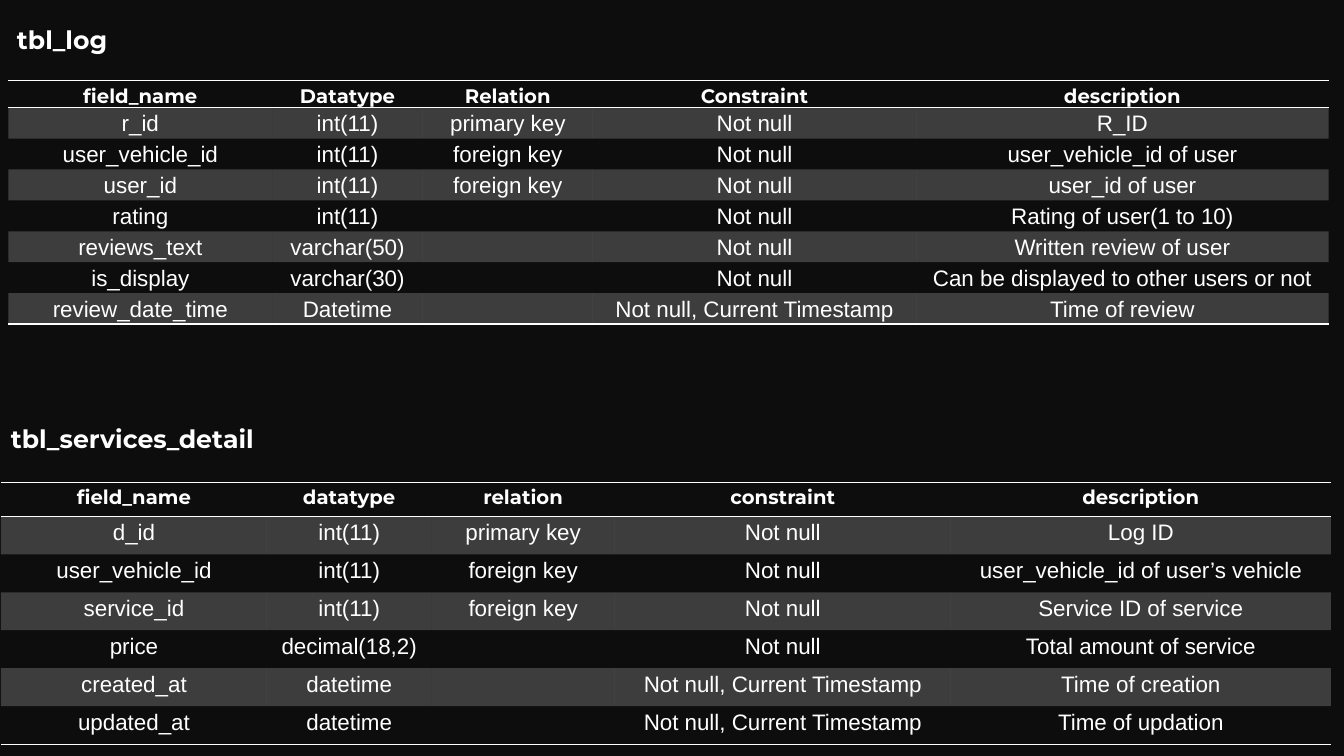
from lxml import etree
from pptx import Presentation
from pptx.dml.color import RGBColor
from pptx.enum import text as t
from pptx.oxml import ns
from pptx.util import Pt

BACKGROUND = RGBColor(0x0D, 0x0D, 0x0D)
WHITE = RGBColor(0xFF, 0xFF, 0xFF)
STRIPE_ALPHA = 20000
NO_STYLE_NO_GRID = "{2D5ABB26-0587-4C30-8999-92F81FD0307C}"

LOG_WIDTHS = [188.5, 107.5, 121.5, 231, 294.5]
LOG_FIELDS = [
    ["field_name", "Datatype", "Relation", "Constraint", "description"],
    ["r_id", "int(11)", "primary key", "Not null", "R_ID"],
    ["user_vehicle_id", "int(11)", "foreign key", "Not null", "user_vehicle_id of user"],
    ["user_id", "int(11)", "foreign key", "Not null", "user_id of user"],
    ["rating", "int(11)", "", "Not null", "Rating of user(1 to 10)"],
    ["reviews_text", "varchar(50)", "", "Not null", "Written review of user"],
    ["is_display", "varchar(30)", "", "Not null", "Can be displayed to other users or not"],
    ["review_date_time", "Datetime", "", "Not null, Current Timestamp", "Time of review"],
]

SERVICES_WIDTHS = [190, 117.5, 131, 240, 271.5]
SERVICES_FIELDS = [
    ["field_name", "datatype", "relation", "constraint", "description"],
    ["d_id", "int(11)", "primary key", "Not null", "Log ID"],
    ["user_vehicle_id", "int(11)", "foreign key", "Not null", "user_vehicle_id of user’s vehicle"],
    ["service_id", "int(11)", "foreign key", "Not null", "Service ID of service"],
    ["price", "decimal(18,2)", "", "Not null", "Total amount of service"],
    ["created_at", "datetime", "", "Not null, Current Timestamp", "Time of creation"],
    ["updated_at", "datetime", "", "Not null, Current Timestamp", "Time of updation"],
]


def write(frame, wording, *, size, font="Arial", bold=False,
          align=t.PP_ALIGN.LEFT, line_spacing=1.0, space_after=0):
    paragraph = frame.paragraphs[0]
    paragraph.alignment = align
    paragraph.line_spacing = line_spacing
    paragraph.space_after = Pt(space_after)
    run = paragraph.add_run()
    run.text = wording
    run.font.size = Pt(size)
    run.font.name = font
    run.font.bold = bold
    run.font.color.rgb = WHITE


def add_heading(slide, wording, left, top, width):
    heading = slide.shapes.add_textbox(Pt(left), Pt(top), Pt(width), Pt(29.5))
    heading.text_frame.word_wrap = True
    write(heading.text_frame, wording, size=18, font="Montserrat", bold=True)


def fill_cell(cell, striped):
    if not striped:
        cell.fill.background()
        return
    cell.fill.solid()
    cell.fill.fore_color.rgb = WHITE
    # Translucent stripe
    color = cell.fill._xPr.find(".//" + ns.qn("a:srgbClr"))
    etree.SubElement(color, ns.qn("a:alpha"), val=str(STRIPE_ALPHA))


def rule_cell(cell, sides):
    properties = cell._tc.get_or_add_tcPr()
    for position, side in enumerate(sides):
        line = etree.Element(ns.qn(f"a:ln{side}"), w=str(Pt(1)))
        solid = etree.SubElement(line, ns.qn("a:solidFill"))
        etree.SubElement(solid, ns.qn("a:srgbClr"), val=str(WHITE))
        properties.insert(position, line)


def add_field_table(slide, fields, widths, left, top, header_height, row_height):
    last = len(fields) - 1
    heights = [header_height] + [row_height] * last
    frame = slide.shapes.add_table(len(fields), len(widths), Pt(left), Pt(top),
                                   Pt(sum(widths)), Pt(sum(heights)))
    table = frame.table
    table.first_row = table.horz_banding = False
    frame._element.find(".//" + ns.qn("a:tableStyleId")).text = NO_STYLE_NO_GRID
    for column, width in zip(table.columns, widths):
        column.width = Pt(width)

    for index, (row, height, field) in enumerate(zip(table.rows, heights, fields)):
        row.height = Pt(height)
        sides = "TB" if index == 0 else "B" if index == last else ""
        style = (dict(size=14, font="Montserrat", bold=True) if index == 0
                 else dict(size=16))
        for cell, wording in zip(row.cells, field):
            cell.margin_left = cell.margin_right = Pt(5)
            cell.margin_top = cell.margin_bottom = Pt(0)
            fill_cell(cell, striped=index % 2 == 1)
            rule_cell(cell, sides)
            if wording:
                write(cell.text_frame, wording, align=t.PP_ALIGN.CENTER,
                      line_spacing=1.15, space_after=10, **style)


def main():
    deck = Presentation()
    deck.slide_width, deck.slide_height = Pt(960), Pt(540)
    slide = deck.slides.add_slide(deck.slide_layouts[6])
    slide.background.fill.solid()
    slide.background.fill.fore_color.rgb = BACKGROUND

    # Review log
    add_heading(slide, "tbl_log", left=5, top=14, width=142.5)
    add_field_table(slide, LOG_FIELDS, LOG_WIDTHS, left=6, top=57.5,
                    header_height=19.4, row_height=22.05)

    # Service details
    add_heading(slide, "tbl_services_detail", left=0.7, top=299, width=200)
    add_field_table(slide, SERVICES_FIELDS, SERVICES_WIDTHS, left=0.7, top=344.5,
                    header_height=24.3, row_height=27.14)

    deck.save("out.pptx")


if __name__ == "__main__":
    main()
